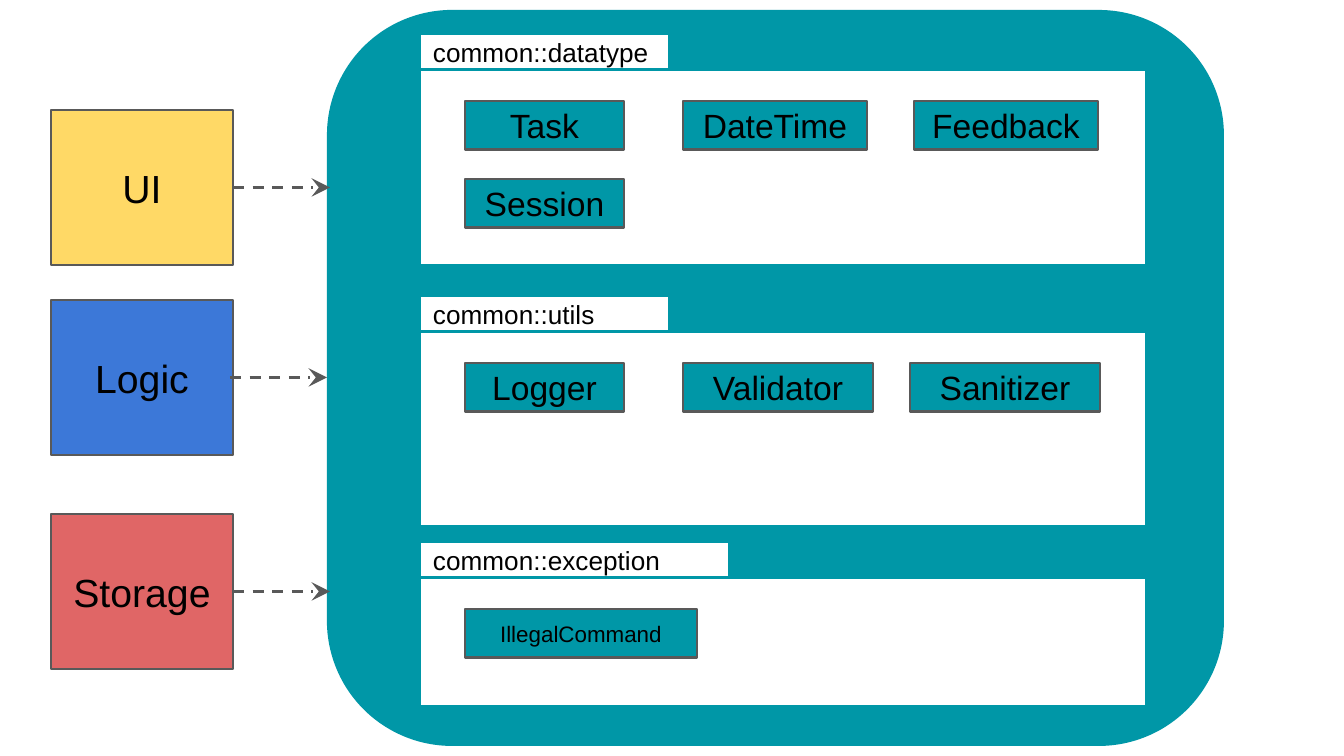
"""Build the slide of components that depend on the common packages."""
import pptx
import pptx.util
import pptx.dml.color
import pptx.enum.dml
import pptx.enum.shapes
import pptx.enum.text
import pptx.oxml.ns
from lxml import etree

COMPONENTS = [
    {"name": "UI", "fill": "yellow", "top": 110, "arrow": 233},
    {"name": "Logic", "fill": "blue", "top": 300, "arrow": 230},
    {"name": "Storage", "fill": "red", "top": 514, "arrow": 233},
]
PACKAGES = [
    {"name": "common::datatype", "top": 70, "height": 195, "tab": 249, "size": "class",
     "rows": [[("Task", 465, 159), ("DateTime", 683, 184), ("Feedback", 914, 184)],
              [("Session", 465, 159)]]},
    {"name": "common::utils", "top": 332, "height": 195, "tab": 249, "size": "class",
     "rows": [[("Logger", 465, 159), ("Validator", 683, 190), ("Sanitizer", 910, 190)]]},
    {"name": "common::exception", "top": 578, "height": 129, "tab": 309, "size": "small",
     "rows": [[("IllegalCommand", 465, 232)]]},
]
THEME = {
    "font": "Arial",
    "teal": "0097A7", "white": "FFFFFF", "grey": "595959", "black": "000000",
    "yellow": "FFD966", "blue": "3C78D8", "red": "E06666",
    "component": 21, "class": 18, "tab": 14, "small": 12, "line": 1.5,
}
SLIDE_W, SLIDE_H = 1344, 756
COMPONENT_X, COMPONENT_W, COMPONENT_H = 51, 182, 155
ARROW_W = 97
PANEL_X, PANEL_W, TAB_H = 420, 726, 36
ROW_INSET, ROW_STEP, CLASS_H = 31, 78, 49
TEXT_INSET = 13

RECT = pptx.enum.shapes.MSO_SHAPE.RECTANGLE
ROUNDED = pptx.enum.shapes.MSO_SHAPE.ROUNDED_RECTANGLE
LEFT = pptx.enum.text.PP_ALIGN.LEFT
CENTER = pptx.enum.text.PP_ALIGN.CENTER


def px(n):
    return pptx.util.Emu(round(n * 914400 / 134.4))


def color(name):
    return pptx.dml.color.RGBColor.from_string(THEME[name])


def add_box(s, bounds, fill, line=None, text="", size="class", align=CENTER, kind=RECT):
    sp = s.shapes.add_shape(kind, *map(px, bounds))
    sp.shadow.inherit = False
    sp.fill.solid()
    sp.fill.fore_color.rgb = color(fill)
    if line:
        sp.line.color.rgb = color(line)
        sp.line.width = pptx.util.Pt(THEME["line"])
    else:
        sp.line.fill.background()
    if text:
        tf = sp.text_frame
        tf.word_wrap = True
        tf.vertical_anchor = pptx.enum.text.MSO_ANCHOR.MIDDLE
        tf.margin_left = tf.margin_right = tf.margin_top = tf.margin_bottom = px(TEXT_INSET)
        p = tf.paragraphs[0]
        p.text = text
        p.alignment = align
        p.font.name = THEME["font"]
        p.font.size = pptx.util.Pt(THEME[size])
        p.font.color.rgb = color("black")
    return sp


def add_arrow(s, x, y):
    straight = pptx.enum.shapes.MSO_CONNECTOR.STRAIGHT
    cxn = s.shapes.add_connector(straight, px(x), px(y), px(x + ARROW_W), px(y))
    cxn.line.color.rgb = color("grey")
    cxn.line.width = pptx.util.Pt(THEME["line"])
    cxn.line.dash_style = pptx.enum.dml.MSO_LINE.DASH
    qn = pptx.oxml.ns.qn
    etree.SubElement(cxn.line._get_or_add_ln(), qn("a:tailEnd"), type="stealth", w="lg", len="lg")
    etree.SubElement(cxn._element.spPr, qn("a:effectLst"))


def add_package(s, package):
    top = package["top"]
    add_box(s, (PANEL_X, top, PANEL_W, package["height"]), "white", "teal")
    add_box(s, (PANEL_X, top - TAB_H, package["tab"], TAB_H), "white", "teal",
            package["name"], "tab", LEFT)
    for i, row in enumerate(package["rows"]):
        y = top + ROW_INSET + i * ROW_STEP
        for name, x, width in row:
            add_box(s, (x, y, width, CLASS_H), "teal", "grey", name, package["size"])


def main():
    prs = pptx.Presentation()
    prs.slide_width, prs.slide_height = px(SLIDE_W), px(SLIDE_H)
    s = prs.slides.add_slide(prs.slide_layouts[6])
    container = add_box(s, (327, 10, 897, 736), "teal", kind=ROUNDED)
    container.adjustments[0] = 0.17
    for package in PACKAGES:
        add_package(s, package)
    for c in COMPONENTS:
        add_box(s, (COMPONENT_X, c["top"], COMPONENT_W, COMPONENT_H), c["fill"], "grey",
                c["name"], "component")
    for c in COMPONENTS:
        add_arrow(s, c["arrow"], c["top"] + COMPONENT_H / 2)
    prs.save("out.pptx")


if __name__ == "__main__":
    main()
